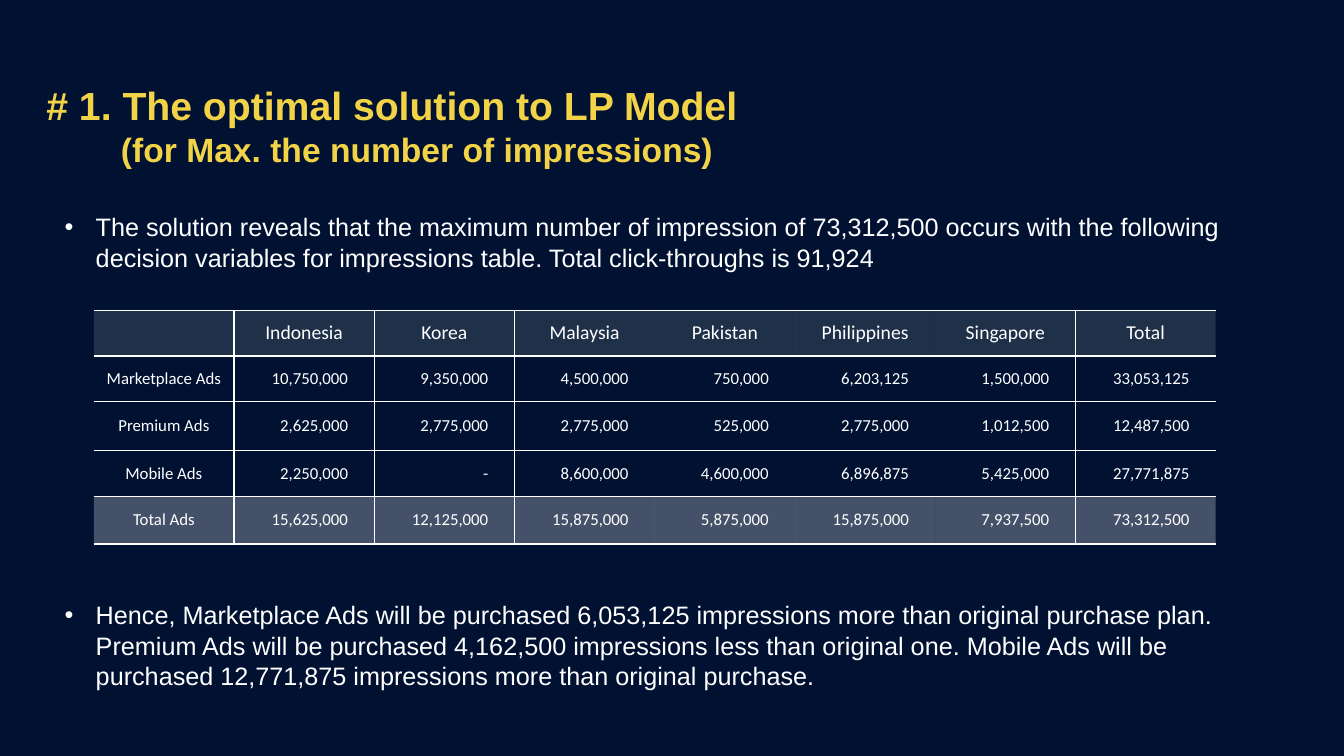
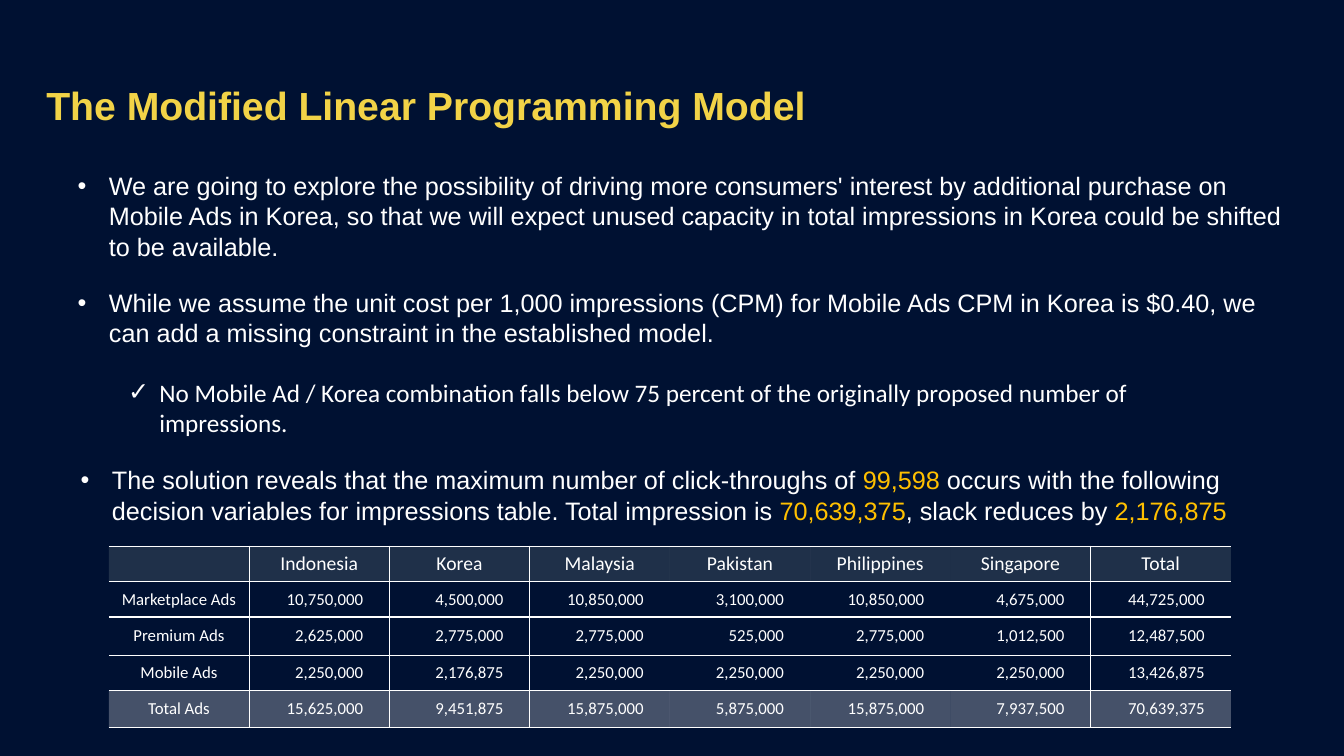
from lxml import etree
from pptx import Presentation
from pptx.dml.color import RGBColor
from pptx.enum.text import MSO_ANCHOR, MSO_AUTO_SIZE, PP_ALIGN
from pptx.oxml.ns import qn
from pptx.util import Inches, Pt

LEFT, CENTER, RIGHT = PP_ALIGN.LEFT, PP_ALIGN.CENTER, PP_ALIGN.RIGHT
TOP, MIDDLE = MSO_ANCHOR.TOP, MSO_ANCHOR.MIDDLE
NO_AUTOFIT = MSO_AUTO_SIZE.NONE

# Shared look
SLIDE_W, SLIDE_H = Inches(13.33), Inches(7.5)
NAVY, GOLD, AMBER, WHITE, MINT = "001132", "F2D347", "FFC000", "FFFFFF", "E2F0D9"
TITLE = {"name": "Arial", "size": Pt(28), "bold": True}
SUBTITLE = TITLE | {"size": Pt(24)}
BULLET = {"name": "Arial", "size": Pt(18), "bold": False}
CHECK = BULLET | {"name": "Calibri"}
TABLE_HEAD = {"name": "Calibri", "size": Pt(14), "bold": False}
TABLE_BODY = TABLE_HEAD | {"size": Pt(12)}
TITLE_BOX = (2.7, 10.13, 76.8, 13.07)  # percent of the slide
HANG = 0.31

# Table rules: share of height per row, and the edges that carry a line
PLAIN_TABLE = "{2D5ABB26-0587-4C30-8999-92F81FD0307C}"
ROW_SHARES = (0.195, 0.195, 0.21, 0.195, 0.205)
ROW_LINES, COLUMN_LINES = {0, 1, 2, 4, 5}, {1, 2, 7}
TABLE_WIDTH = 83.5

COUNTRIES = ["Indonesia", "Korea", "Malaysia", "Pakistan", "Philippines", "Singapore"]
PREMIUM = [2625000, 2775000, 2775000, 525000, 2775000, 1012500]
FIRST_PLAN = {
    "Marketplace Ads": [10750000, 9350000, 4500000, 750000, 6203125, 1500000],
    "Premium Ads": PREMIUM,
    "Mobile Ads": [2250000, 0, 8600000, 4600000, 6896875, 5425000],
}
MODIFIED_PLAN = {
    "Marketplace Ads": [10750000, 4500000, 10850000, 3100000, 10850000, 4675000],
    "Premium Ads": PREMIUM,
    "Mobile Ads": [2250000, 2176875, 2250000, 2250000, 2250000, 2250000],
}


def colour(hex_code):
    return RGBColor.from_string(hex_code)


def percent_box(left, top, width, height):
    """Turn percentages of the slide into lengths."""
    return [int(side * share / 100) for side, share in
            zip((SLIDE_W, SLIDE_H) * 2, (left, top, width, height))]


def apply(target, values):
    for key, value in values.items():
        setattr(target, key, value)


def add_run(paragraph, text, style, hex_code):
    run = paragraph.add_run()
    run.text = text
    apply(run.font, style)
    run.font.color.rgb = colour(hex_code)


def indent(paragraph, margin, hang=0, mark=None):
    """Set the left margin, the hanging indent and the bullet."""
    props = paragraph._p.get_or_add_pPr()
    props.set("marL", str(Inches(margin)))
    props.set("indent", str(-Inches(hang)))
    if mark:
        etree.SubElement(props, qn("a:buFont"), typeface="Arial")
        etree.SubElement(props, qn("a:buChar"), char=mark)


def prepare(placeholder, box):
    """Place a placeholder and return its text frame."""
    apply(placeholder, dict(zip(("left", "top", "width", "height"), percent_box(*box))))
    frame = placeholder.text_frame
    apply(frame, {"word_wrap": True, "auto_size": NO_AUTOFIT, "vertical_anchor": TOP})
    return frame


def next_paragraph(frame, first, gap=0):
    paragraph = frame.paragraphs[0] if first else frame.add_paragraph()
    apply(paragraph, {"alignment": LEFT, "line_spacing": 1.0,
                      "space_before": Pt(gap), "space_after": Pt(0)})
    return paragraph


def fill_title(slide, heading, subheading=None):
    frame = prepare(slide.shapes.title, TITLE_BOX)
    add_run(next_paragraph(frame, True), heading, TITLE, GOLD)
    if subheading:
        paragraph = next_paragraph(frame, False)
        indent(paragraph, 0.74)
        add_run(paragraph, subheading, SUBTITLE, GOLD)


def fill_body(placeholder, box, text, check=None):
    """Write a bullet, with figures between bars in amber, and a checked point."""
    frame = prepare(placeholder, box)
    paragraph = next_paragraph(frame, True)
    indent(paragraph, HANG, HANG, "•")
    for number, part in enumerate(text.split("|")):
        if part:
            add_run(paragraph, part, BULLET, AMBER if number % 2 else WHITE)
    if check:
        paragraph = next_paragraph(frame, False, 21)
        paragraph.level = 1
        indent(paragraph, 0.81, HANG, "✓")
        add_run(paragraph, check, CHECK, WHITE)


def add_content_slide(prs, heading, subheading, bodies):
    slide = prs.slides.add_slide(prs.slide_layouts.get_by_name("Comparison"))
    fill_title(slide, heading, subheading)
    holders = list(slide.placeholders)[1:]
    for holder, body in zip(holders, bodies):
        fill_body(holder, *body)
    for unused in holders[len(bodies):]:
        unused._element.getparent().remove(unused._element)
    return slide


def tint_cell(cell, hex_code, opacity):
    cell.fill.solid()
    cell.fill.fore_color.rgb = colour(hex_code)
    tone = cell._tc.tcPr.find(qn("a:solidFill"))[0]
    etree.SubElement(tone, qn("a:alpha"), val=str(opacity * 1000))


def rule_cell(cell, row, column):
    """Draw white lines on the sides that lie on a ruled edge."""
    props = cell._tc.get_or_add_tcPr()
    sides = {"a:lnL": column in COLUMN_LINES, "a:lnR": column + 1 in COLUMN_LINES,
             "a:lnT": row in ROW_LINES, "a:lnB": row + 1 in ROW_LINES}
    for side, ruled in sides.items():
        if ruled:
            line = etree.SubElement(props, qn(side), w=str(Pt(1)))
            paint = etree.SubElement(line, qn("a:solidFill"))
            etree.SubElement(paint, qn("a:srgbClr"), val=WHITE)


def with_totals(plan):
    """Return the rows of the table, totals added."""
    sums = [sum(column) for column in zip(*plan.values())]
    lines = plan | {"Total Ads": sums}
    return [["", *COUNTRIES, "Total"]] + [
        [name] + [f"{value:,}" if value else "-" for value in [*values, sum(values)]]
        for name, values in lines.items()]


def add_impressions_table(slide, left, top, height, plan):
    rows = with_totals(plan)
    box = percent_box(left, top, TABLE_WIDTH, height)
    table = slide.shapes.add_table(len(rows), len(rows[0]), *box).table
    apply(table, {"first_row": False, "horz_banding": False})
    table._tbl.tblPr.find(qn("a:tableStyleId")).text = PLAIN_TABLE
    for line, share in zip(table.rows, ROW_SHARES):
        line.height = int(box[3] * share)
    for r, row in enumerate(rows):
        for c, text in enumerate(row):
            cell = table.cell(r, c)
            figure = r > 0 and c > 0
            apply(cell, {"vertical_anchor": MIDDLE, "margin_left": 0, "margin_top": 0,
                         "margin_bottom": 0, "margin_right": Inches(0.26 if figure else 0)})
            paragraph = cell.text_frame.paragraphs[0]
            paragraph.alignment = RIGHT if figure else CENTER
            if text:
                add_run(paragraph, text, TABLE_BODY if r else TABLE_HEAD, WHITE)
            rule_cell(cell, r, c)
            if r == 0:
                tint_cell(cell, MINT, 14)
            elif r == len(rows) - 1:
                tint_cell(cell, WHITE, 27)
            else:
                cell.fill.background()


def main():
    prs = Presentation()
    apply(prs, {"slide_width": SLIDE_W, "slide_height": SLIDE_H})
    backdrop = prs.slide_master.background.fill
    backdrop.solid()
    backdrop.fore_color.rgb = colour(NAVY)

    # Optimal solution
    solution = add_content_slide(
        prs, "# 1. The optimal solution to LP Model", "(for Max. the number of impressions)", [
            ((4.05, 27.33, 87.5, 9.47),
             "The solution reveals that the maximum number of impression of 73,312,500 occurs "
             "with the following decision variables for impressions table. "
             "Total click-throughs is 91,924"),
            ((4.05, 78.67, 87.5, 13.47),
             "Hence, Marketplace Ads will be purchased 6,053,125 impressions more than original "
             "purchase plan. Premium Ads will be purchased 4,162,500 impressions less than "
             "original one. Mobile Ads will be purchased 12,771,875 impressions more than "
             "original purchase."),
        ])
    add_impressions_table(solution, 6.98, 41.07, 30.9, FIRST_PLAN)

    # Modified model
    modified = add_content_slide(
        prs, "The Modified Linear Programming Model", None, [
            ((5.03, 21.87, 92.4, 13.47),
             "We are going to explore the possibility of driving more consumers' interest by "
             "additional purchase on Mobile Ads in Korea, so that we will expect unused capacity "
             "in total impressions in Korea could be shifted to be available."),
            ((5.03, 37.33, 89.5, 21.6),
             "While we assume the unit cost per 1,000 impressions (CPM) for Mobile Ads CPM in "
             "Korea is $0.40, we can add a missing constraint in the established model.",
             "No Mobile Ad / Korea combination falls below 75 percent of the originally "
             "proposed number of impressions."),
            ((5.25, 60.8, 87.5, 9.47),
             "The solution reveals that the maximum number of click-throughs of |99,598| occurs "
             "with the following decision variables for impressions table. Total impression is "
             "|70,639,375|, slack reduces by |2,176,875|"),
        ])
    add_impressions_table(modified, 8.1, 72.27, 24, MODIFIED_PLAN)
    prs.save("out.pptx")


if __name__ == "__main__":
    main()
